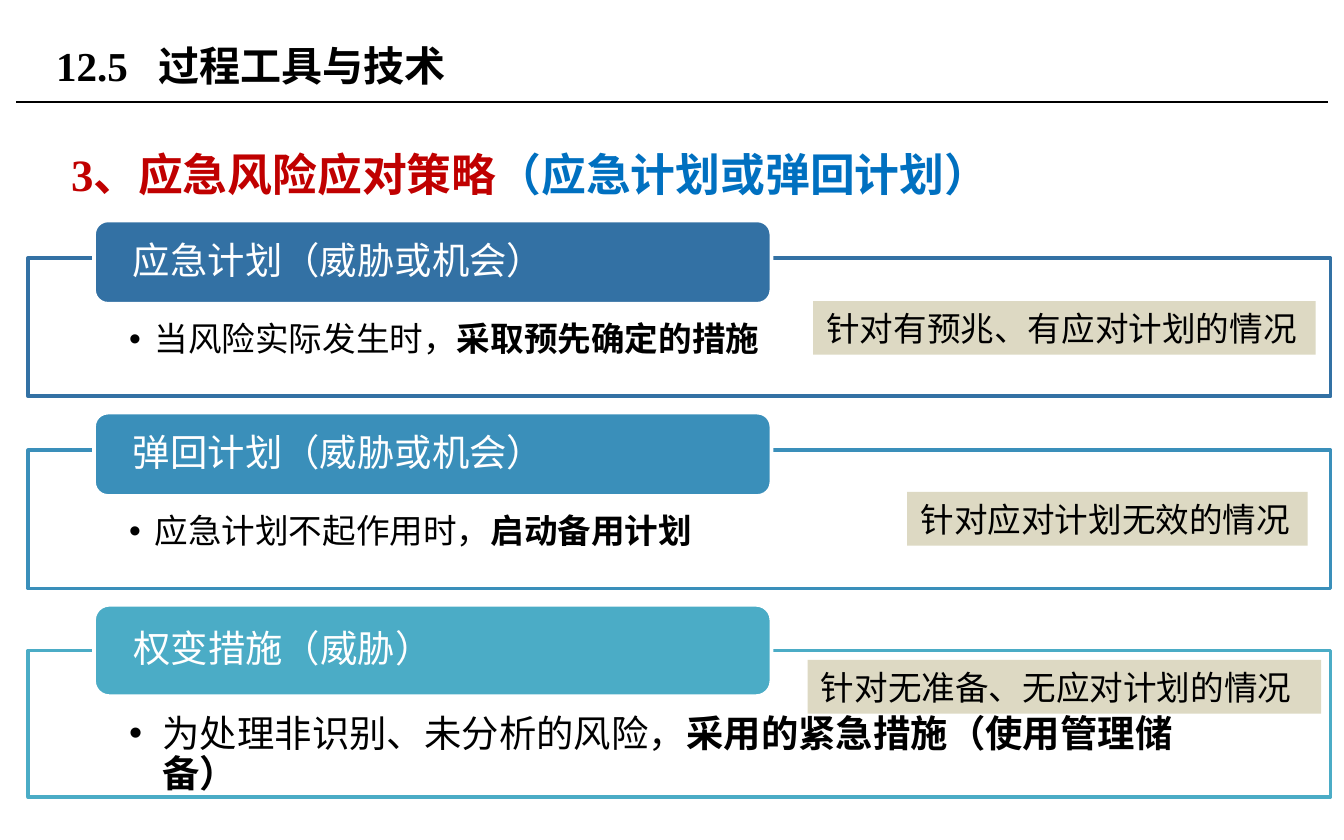
"""Build the slide on contingency risk response strategies."""
from lxml import etree
from pptx import Presentation
from pptx.dml.color import RGBColor
from pptx.enum.shapes import MSO_CONNECTOR, MSO_SHAPE
from pptx.enum.text import MSO_ANCHOR, MSO_AUTO_SIZE, PP_ALIGN
from pptx.oxml.ns import qn
from pptx.util import Inches, Pt

STRAIGHT = MSO_CONNECTOR.STRAIGHT
RECTANGLE = MSO_SHAPE.RECTANGLE
ROUNDED = MSO_SHAPE.ROUNDED_RECTANGLE
TOP = MSO_ANCHOR.TOP
MIDDLE = MSO_ANCHOR.MIDDLE
LEFT = PP_ALIGN.LEFT
FIT_SHAPE = MSO_AUTO_SIZE.SHAPE_TO_FIT_TEXT

SERIF, SANS = "Times New Roman", "Karla"
BLACK, WHITE, RED, BLUE, BEIGE = "000000", "FFFFFF", "C00000", "0070C0", "DDD9C3"


def color(value):
    return RGBColor.from_string(value)


def write(shape, runs, size, font_name, anchor=TOP, margins=(0.1, 0.05, 0.1, 0.05), spacing=None):
    frame = shape.text_frame
    frame.word_wrap = True
    frame.vertical_anchor = anchor
    frame.margin_left, frame.margin_top, frame.margin_right, frame.margin_bottom = map(Inches, margins)
    paragraph = frame.paragraphs[0]
    paragraph.alignment = LEFT
    paragraph.line_spacing = spacing
    for text, text_color, bold in runs:
        run = paragraph.add_run()
        run.text = text
        run.font.size = Pt(size)
        run.font.name = font_name
        run.font.bold = bold
        run.font.color.rgb = color(text_color)
    return paragraph


presentation = Presentation()
presentation.slide_width = Inches(10)
presentation.slide_height = Inches(6.25)
slide = presentation.slides.add_slide(presentation.slide_layouts[6])
shapes = slide.shapes

rule = shapes.add_connector(STRAIGHT, Inches(0.12), Inches(0.76), Inches(9.88), Inches(0.76))
rule.line.color.rgb = color(BLACK)
rule.line.width = Pt(0.75)
etree.SubElement(rule._element.spPr, qn("a:effectLst"))

title = shapes.add_textbox(Inches(0.32), Inches(0.13), Inches(6.38), Inches(0.71))
title_paragraph = write(title, [("12.5\t过程工具与技术", BLACK, True)], 22, SERIF, MIDDLE)
tab_list = etree.SubElement(title_paragraph._p.get_or_add_pPr(), qn("a:tabLst"))
etree.SubElement(tab_list, qn("a:tab"), pos=str(Inches(0.76)), algn="l")

heading = shapes.add_textbox(Inches(0.43), Inches(0.84), Inches(9.25), Inches(0.8))
heading_runs = [("3、应急风险应对策略", RED, True), ("（应急计划或弹回计划）", BLUE, True)]
write(heading, heading_runs, 24, SERIF, spacing=1.5)

panels = [
    ("应急计划（威胁或机会）", "当风险实际发生时，", "采取预先确定的措施", "3371A4", 0.62, 1.03, 18, 0.19),
    ("弹回计划（威胁或机会）", "应急计划不起作用时，", "启动备用计划", "3A8FBA", 0.62, 1.03, 18, 0.19),
    ("权变措施（威胁）", "为处理非识别、未分析的风险，", "采用的紧急措施（使用管理储备）", "4BACC6", 0.68, 1.09, 20, 0.25),
]
for index, (name, condition, action, accent, label_height, body_height, size, indent) in enumerate(panels):
    label_top = 1.64 + 1.43 * index
    body_top = label_top + label_height - 0.34

    body = shapes.add_shape(RECTANGLE, Inches(0.21), Inches(body_top), Inches(9.69), Inches(body_height))
    body.shadow.inherit = False
    body.fill.solid()
    body.fill.fore_color.rgb = color(WHITE)
    fill_color = body._element.spPr.find(qn("a:solidFill"))[0]
    etree.SubElement(fill_color, qn("a:alpha"), val="90000")
    body.line.color.rgb = color(accent)
    body.line.width = Pt(2)
    body_runs = [(condition, BLACK, False), (action, BLACK, True)]
    bullet_paragraph = write(body, body_runs, size, SANS, TOP, (0.75, 0.48, 0.75, 0.14), 0.9)
    properties = bullet_paragraph._p.get_or_add_pPr()
    properties.set("marL", str(Inches(indent)))
    properties.set("indent", str(-Inches(indent)))
    etree.SubElement(properties, qn("a:buFont"), typeface="Arial")
    etree.SubElement(properties, qn("a:buChar"), char="•")

    label = shapes.add_shape(ROUNDED, Inches(0.7), Inches(label_top), Inches(5.04), Inches(label_height))
    label.shadow.inherit = False
    label.fill.solid()
    label.fill.fore_color.rgb = color(accent)
    label.line.color.rgb = color(WHITE)
    label.line.width = Pt(2)
    write(label, [(name, WHITE, False)], 20, SANS, MIDDLE, (0.26, 0, 0.26, 0), 0.9)

tags = [
    ("针对有预兆、有应对计划的情况", 6.05, 2.24, 3.74),
    ("针对应对计划无效的情况", 6.75, 3.66, 2.98),
    ("针对无准备、无应对计划的情况", 6.01, 4.91, 3.82),
]
for text, left, top, width in tags:
    tag = shapes.add_shape(RECTANGLE, Inches(left), Inches(top), Inches(width), Inches(0.4))
    tag.shadow.inherit = False
    tag.fill.solid()
    tag.fill.fore_color.rgb = color(BEIGE)
    tag.line.fill.background()
    write(tag, [(text, BLACK, False)], 18, SANS)
    tag.text_frame.word_wrap = False
    tag.text_frame.auto_size = FIT_SHAPE

presentation.save("out.pptx")
